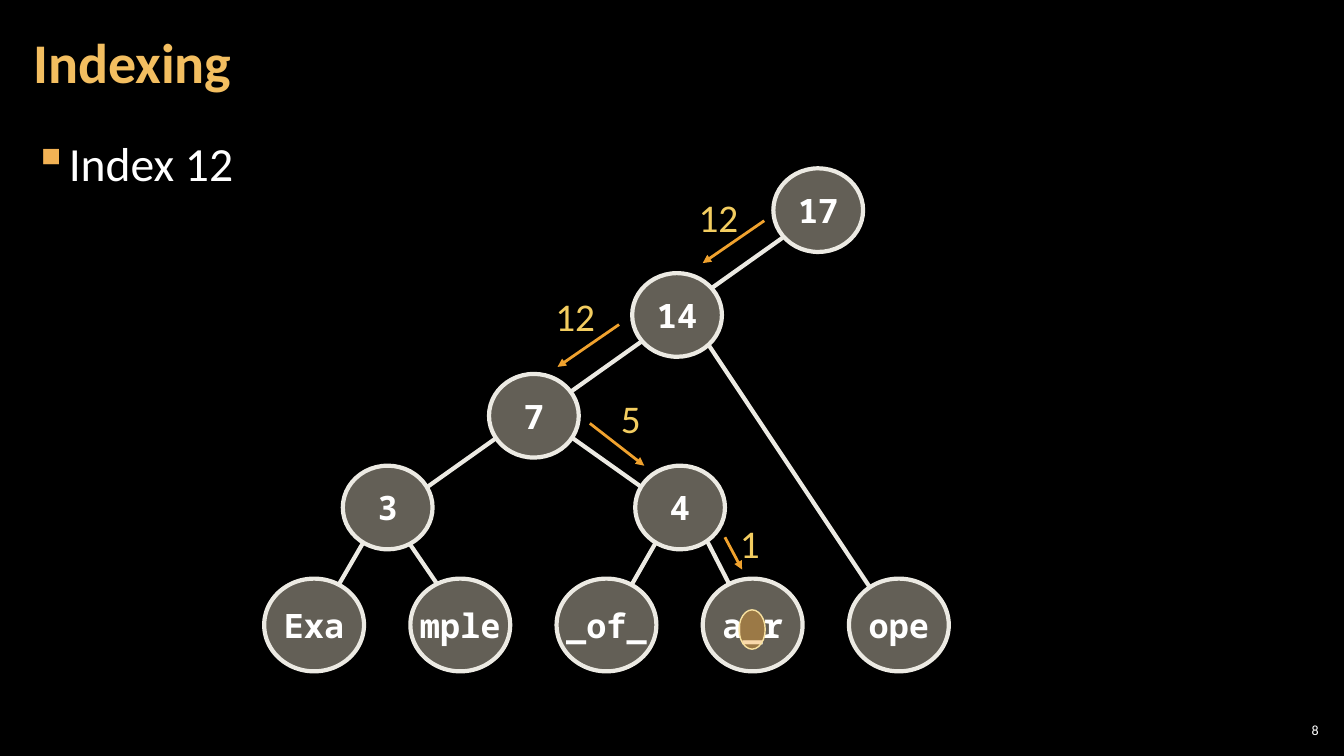
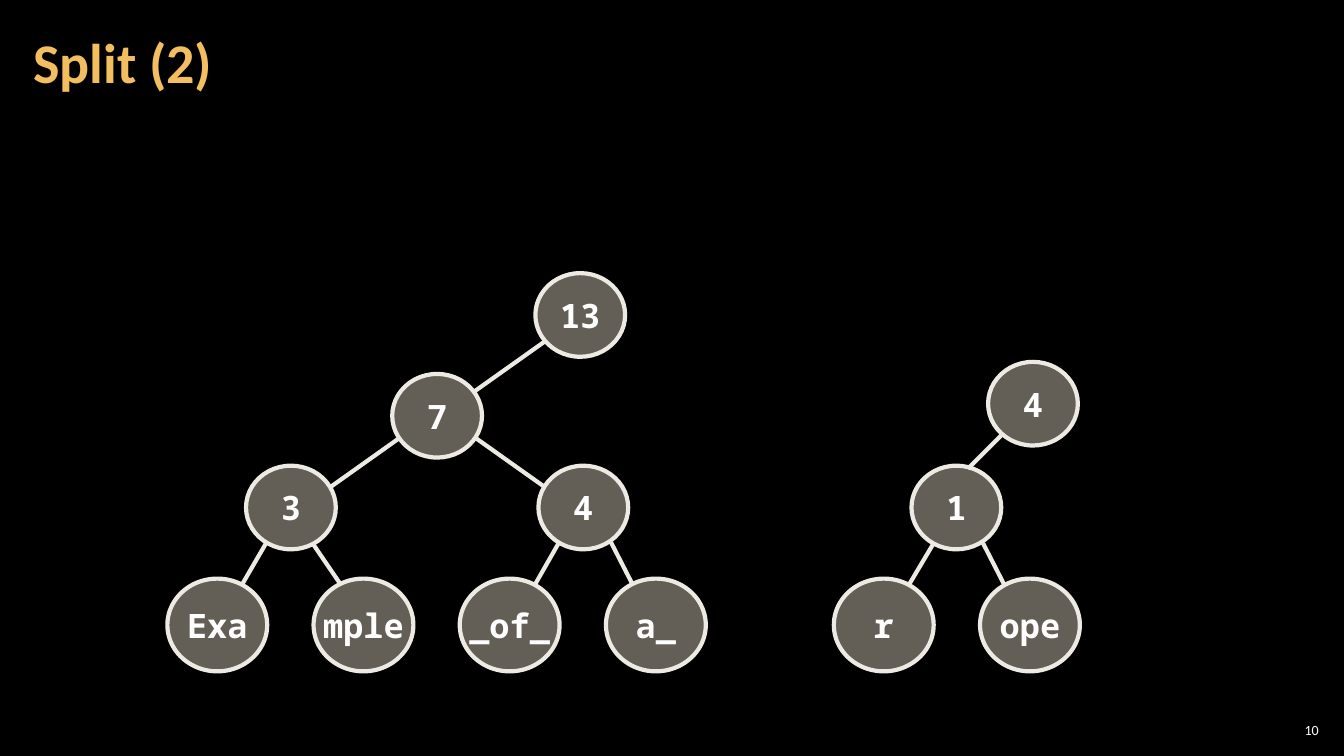
from lxml import etree
from pptx import Presentation
from pptx import util as u
from pptx.dml.color import RGBColor
from pptx.enum import shapes, text
from pptx.oxml.ns import qn

BLACK = RGBColor(0x00, 0x00, 0x00)
WHITE = RGBColor(0xFF, 0xFF, 0xFF)
TITLE_GOLD = RGBColor(0xF3, 0xBE, 0x60)
BULLET_ORANGE = RGBColor(0xF2, 0xB2, 0x54)
NODE_FILL = RGBColor(0xC7, 0xBF, 0xAC)
NODE_LINE = RGBColor(0xEC, 0xEA, 0xE3)
ARROW_ORANGE = RGBColor(0xF0, 0xA2, 0x2E)
LABEL_YELLOW = RGBColor(0xF3, 0xCD, 0x60)
MARKER_LINE = RGBColor(0xF8, 0xE1, 0x9F)

TITLE_FONT = {"name": "Calibri", "size": u.Pt(40), "bold": True}
BODY_FONT = {"name": "Calibri", "size": u.Pt(34)}
NUMBER_FONT = {"name": "Calibri", "size": u.Pt(10)}
LABEL_FONT = {"name": "Calibri", "size": u.Pt(28)}
NODE_FONT = {"name": "Noto Sans Mono", "size": u.Pt(24), "bold": True}

PLACEHOLDER_FRAME = {
    "word_wrap": True,
    "margin_left": u.Inches(0.12),
    "margin_right": u.Inches(0.12),
    "margin_top": u.Inches(0.04),
    "margin_bottom": u.Inches(0.04),
}
TITLE_FRAME = {**PLACEHOLDER_FRAME, "vertical_anchor": text.MSO_ANCHOR.MIDDLE}
NUMBER_FRAME = {
    **TITLE_FRAME,
    "margin_left": u.Inches(0.04),
    "margin_right": u.Inches(0.04),
}
LABEL_FRAME = {"word_wrap": False, "auto_size": text.MSO_AUTO_SIZE.SHAPE_TO_FIT_TEXT}
NODE_FRAME = {"word_wrap": False, "vertical_anchor": text.MSO_ANCHOR.MIDDLE}

TITLE_PARAGRAPH = {"line_spacing": 0.9}
BODY_PARAGRAPH = {
    "line_spacing": 1.05,
    "space_before": u.Pt(6),
    "space_after": u.Pt(6),
}
NUMBER_PARAGRAPH = {"alignment": text.PP_ALIGN.RIGHT}
NODE_PARAGRAPH = {"alignment": text.PP_ALIGN.CENTER}

BRANCH_SIZE = (0.89, 0.83)
LEAF_SIZE = (0.99, 0.92)
LEAF_LEFT, LEAF_TOP, LEAF_STEP = 2.62, 5.74, 1.45
SPLIT_SHIFT = -0.96

LEFT_TREE_EDGES = [
    (3.61, 5.37, 3.36, 5.8),
    (4.06, 5.39, 4.34, 5.8),
    (6.5, 5.39, 6.26, 5.81),
    (7.02, 5.38, 7.23, 5.79),
    (4.93, 4.34, 4.24, 4.83),
    (5.67, 4.34, 6.36, 4.83),
    (6.36, 3.39, 5.67, 3.88),
]


def apply_format(target, values):
    for name, value in values.items():
        setattr(target, name, value)


def write_text(shape, content, frame_format, paragraph_format, font_format, color):
    frame = shape.text_frame
    apply_format(frame, frame_format)
    paragraph = frame.paragraphs[0]
    apply_format(paragraph, paragraph_format)
    run = paragraph.add_run()
    run.text = content
    apply_format(run.font, font_format)
    run.font.color.rgb = color
    return paragraph


def add_text(slide, box, content, *formats):
    shape = slide.shapes.add_textbox(*map(u.Inches, box))
    return write_text(shape, content, *formats)


def add_bullet(slide, content):
    paragraph = add_text(slide, (0.21, 1.26, 12.91, 6.09), content,
                         PLACEHOLDER_FRAME, BODY_PARAGRAPH, BODY_FONT, WHITE)
    properties = paragraph._p.get_or_add_pPr()
    properties.set("marL", str(u.Inches(0.33)))
    properties.set("indent", str(u.Inches(-0.33)))
    bullet_color = etree.SubElement(properties, qn("a:buClr"))
    etree.SubElement(bullet_color, qn("a:srgbClr"), val=str(BULLET_ORANGE))
    etree.SubElement(properties, qn("a:buChar"), char="▪")


def add_ellipse(slide, box, fill, opacity, outline, width):
    shape = slide.shapes.add_shape(shapes.MSO_SHAPE.OVAL, *map(u.Inches, box))
    shape.shadow.inherit = False
    shape.fill.solid()
    shape.fill.fore_color.rgb = fill
    fill_color = shape.element.spPr.find(qn("a:solidFill"))[0]
    etree.SubElement(fill_color, qn("a:alpha"), val=str(opacity * 1000))
    shape.line.color.rgb = outline
    shape.line.width = u.Pt(width)
    return shape


def add_node(slide, label, left, top, size=BRANCH_SIZE):
    shape = add_ellipse(slide, (left, top, *size), NODE_FILL, 50, NODE_LINE, 3)
    write_text(shape, label, NODE_FRAME, NODE_PARAGRAPH, NODE_FONT, WHITE)


def add_leaves(slide, labels, left):
    for index, label in enumerate(labels):
        add_node(slide, label, left + index * LEAF_STEP, LEAF_TOP, LEAF_SIZE)


def add_line(slide, ends, color, width):
    connector = slide.shapes.add_connector(
        shapes.MSO_CONNECTOR.STRAIGHT, *map(u.Inches, ends))
    connector.line.color.rgb = color
    connector.line.width = u.Pt(width)
    etree.SubElement(connector.element.spPr, qn("a:effectLst"))
    return connector


def add_edges(slide, edges, shift=0):
    for start_x, start_y, end_x, end_y in edges:
        add_line(slide, (start_x + shift, start_y, end_x + shift, end_y), NODE_LINE, 3)


def add_step(slide, label, left, top, width, arrow_ends):
    arrow = add_line(slide, arrow_ends, ARROW_ORANGE, 2)
    etree.SubElement(arrow.line._get_or_add_ln(), qn("a:tailEnd"), type="triangle")
    add_text(slide, (left, top, width, 0.57), label,
             LABEL_FRAME, {}, LABEL_FONT, LABEL_YELLOW)


def add_left_tree(slide, root, leaves, shift=0):
    add_leaves(slide, leaves, LEAF_LEFT + shift)
    for label, left, top in [(root, 6.27, 2.71), ("7", 4.85, 3.71),
                             ("3", 3.4, 4.62), ("4", 6.3, 4.62)]:
        add_node(slide, label, left + shift, top)
    add_edges(slide, LEFT_TREE_EDGES, shift)


def add_titled_slide(presentation, title, number):
    slide = presentation.slides.add_slide(presentation.slide_layouts[6])
    add_text(slide, (0.21, 0.04, 10.47, 1.21), title,
             TITLE_FRAME, TITLE_PARAGRAPH, TITLE_FONT, TITLE_GOLD)
    add_text(slide, (12.65, 7.14, 0.47, 0.21), number,
             NUMBER_FRAME, NUMBER_PARAGRAPH, NUMBER_FONT, WHITE)
    return slide


def build_indexing(presentation):
    slide = add_titled_slide(presentation, "Indexing", "8")
    add_bullet(slide, "Index 12")
    add_left_tree(slide, "14", ["Exa", "mple", "_of_", "a_r", "ope"])
    add_node(slide, "17", 7.67, 1.67)
    add_edges(slide, [(7.76, 2.36, 7.07, 2.85), (7.02, 3.41, 8.63, 5.83)])
    add_ellipse(slide, (7.33, 6.05, 0.26, 0.39), ARROW_ORANGE, 40, MARKER_LINE, 1)
    add_step(slide, "12", 6.83, 1.87, 0.6, (7.58, 2.19, 6.97, 2.61))
    add_step(slide, "12", 5.41, 2.85, 0.6, (6.14, 3.22, 5.53, 3.64))
    add_step(slide, "5", 6.06, 3.86, 0.4, (5.85, 4.2, 6.39, 4.62))
    add_step(slide, "1", 7.24, 5.1, 0.4, (7.19, 5.33, 7.36, 5.65))


def build_split(presentation):
    slide = add_titled_slide(presentation, "Split (2)", "10")
    add_left_tree(slide, "13", ["Exa", "mple", "_of_", "a_"], SPLIT_SHIFT)
    add_leaves(slide, ["r", "ope"], 8.27)
    add_node(slide, "1", 9.04, 4.62)
    add_node(slide, "4", 9.8, 3.59)
    add_edges(slide, [(9.26, 5.39, 9.01, 5.81), (9.75, 5.39, 9.96, 5.8),
                      (9.94, 4.31, 9.6, 4.65)])


def main():
    presentation = Presentation()
    presentation.slide_width = u.Inches(13.33)
    presentation.slide_height = u.Inches(7.5)
    background = presentation.slide_master.background.fill
    background.solid()
    background.fore_color.rgb = BLACK
    build_indexing(presentation)
    build_split(presentation)
    presentation.save("out.pptx")


if __name__ == "__main__":
    main()
